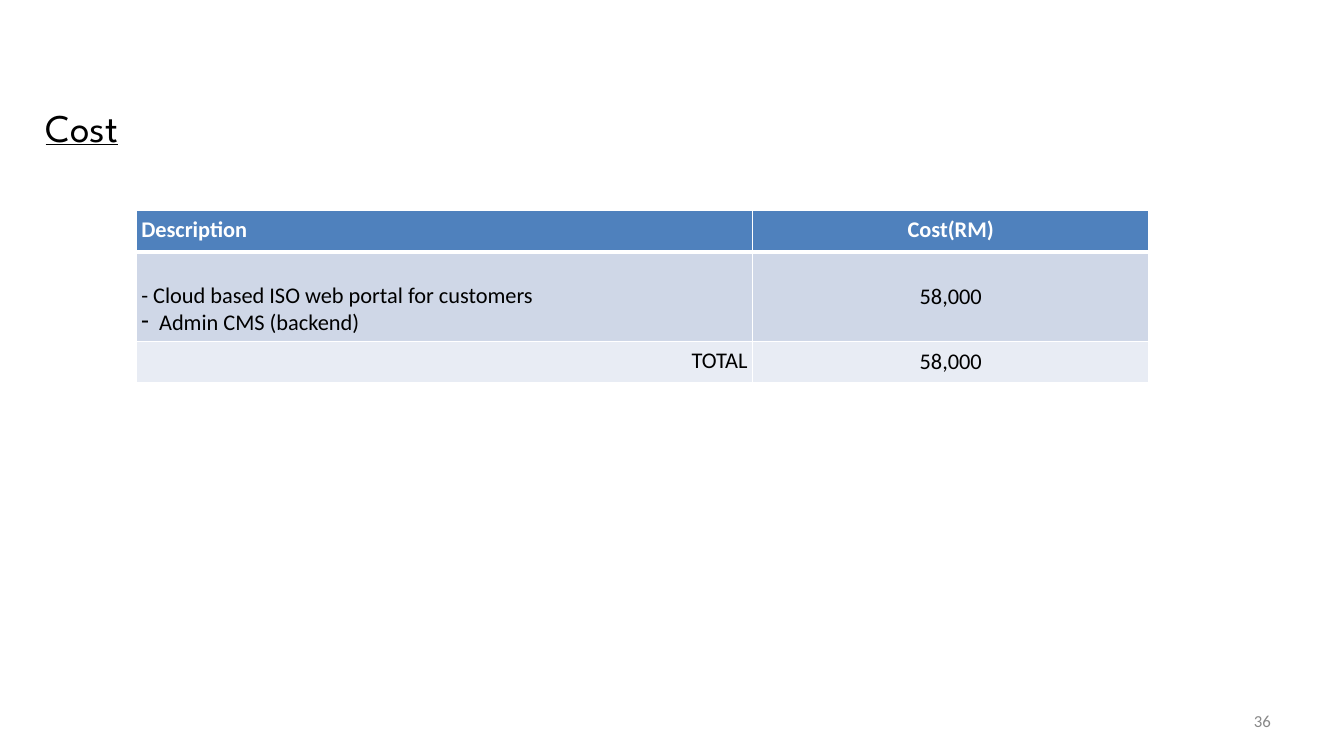
from lxml import etree
from pptx import Presentation
from pptx.dml.color import RGBColor
from pptx.enum.text import MSO_ANCHOR, PP_ALIGN
from pptx.oxml.ns import qn
from pptx.util import Cm, Pt

LEFT, CENTER, RIGHT = PP_ALIGN.LEFT, PP_ALIGN.CENTER, PP_ALIGN.RIGHT
TOP, MIDDLE, BOTTOM = MSO_ANCHOR.TOP, MSO_ANCHOR.MIDDLE, MSO_ANCHOR.BOTTOM
TITLE_ONLY = 5
INSET = Cm(0.13)
COLORS = {
    "text": "000000",
    "page": "888888",
    "white": "FFFFFF",
    "header": "4F81BD",
    "item": "CFD7E7",
    "total": "E8ECF4",
}


def color(name):
    return RGBColor.from_string(COLORS[name])


def write(paragraph, text, size=16, font="Calibri", ink="text", bold=False,
          underline=False, align=LEFT):
    paragraph.alignment = align
    run = paragraph.add_run()
    run.text = text
    run.font.size = Pt(size)
    run.font.name = font
    run.font.color.rgb = color(ink)
    run.font.bold = bold
    run.font.underline = underline


def set_frame(frame, wrap):
    frame.word_wrap = wrap
    frame.vertical_anchor = MIDDLE
    frame.margin_left = frame.margin_right = INSET
    frame.margin_top = frame.margin_bottom = INSET


def add_dash(paragraph):
    properties = paragraph._p.get_or_add_pPr()
    properties.set("marL", str(Cm(0.45)))
    properties.set("indent", str(-Cm(0.45)))
    etree.SubElement(properties, qn("a:buChar")).set("char", "-")


def add_borders(cell, bottom_width):
    properties = cell._tc.get_or_add_tcPr()
    for side in "LRTB":
        width = bottom_width if side == "B" else 1
        line = etree.SubElement(properties, qn(f"a:ln{side}"), w=str(Pt(width)))
        fill = etree.SubElement(line, qn("a:solidFill"))
        etree.SubElement(fill, qn("a:srgbClr"), val=COLORS["white"])


def fill_cell(cell, lines, fill, anchor=TOP, bottom_width=1, **text_format):
    add_borders(cell, bottom_width)
    cell.fill.solid()
    cell.fill.fore_color.rgb = color(fill)
    cell.vertical_anchor = anchor
    cell.margin_left = cell.margin_right = INSET
    cell.margin_top = cell.margin_bottom = INSET
    frame = cell.text_frame
    for index, line in enumerate(lines):
        paragraph = frame.add_paragraph() if index else frame.paragraphs[0]
        if index:
            add_dash(paragraph)
        write(paragraph, line, **text_format)


def add_title(slide):
    title = slide.shapes.title
    title.left, title.top = Cm(1.02), Cm(2.46)
    title.width, title.height = Cm(26.64), Cm(1.45)
    set_frame(title.text_frame, True)
    write(title.text_frame.paragraphs[0], "Cost", size=28,
          font="League Spartan", underline=True)


def add_cost_table(slide):
    widths = [Cm(15.54), Cm(9.98)]
    heights = [Cm(1.04), Cm(2.26), Cm(1.04)]
    costs = slide.shapes.add_table(3, 2, Cm(3.43), Cm(5.31),
                                   sum(widths), sum(heights)).table
    for column, width in zip(costs.columns, widths):
        column.width = width
    for row, height in zip(costs.rows, heights):
        row.height = height

    heading = {"fill": "header", "ink": "white", "bold": True, "bottom_width": 3}
    fill_cell(costs.cell(0, 0), ["Description"], **heading)
    fill_cell(costs.cell(0, 1), ["Cost(RM)"], align=CENTER, **heading)
    items = ["- Cloud based ISO web portal for customers", "Admin CMS (backend)"]
    fill_cell(costs.cell(1, 0), items, "item", anchor=BOTTOM)
    fill_cell(costs.cell(2, 0), ["TOTAL"], "total", align=RIGHT)
    for row, fill in enumerate(["item", "total"], start=1):
        fill_cell(costs.cell(row, 1), ["58,000"], fill, anchor=MIDDLE, align=CENTER)


def add_page_number(slide):
    page = slide.shapes.add_textbox(Cm(31.45), Cm(17.83), Cm(0.71), Cm(0.69))
    set_frame(page.text_frame, False)
    write(page.text_frame.paragraphs[0], "36", size=12, ink="page", align=RIGHT)


def main():
    deck = Presentation()
    deck.slide_width, deck.slide_height = Cm(33.87), Cm(19.05)
    slide = deck.slides.add_slide(deck.slide_layouts[TITLE_ONLY])
    add_page_number(slide)
    add_cost_table(slide)
    add_title(slide)
    deck.save("out.pptx")


if __name__ == "__main__":
    main()
